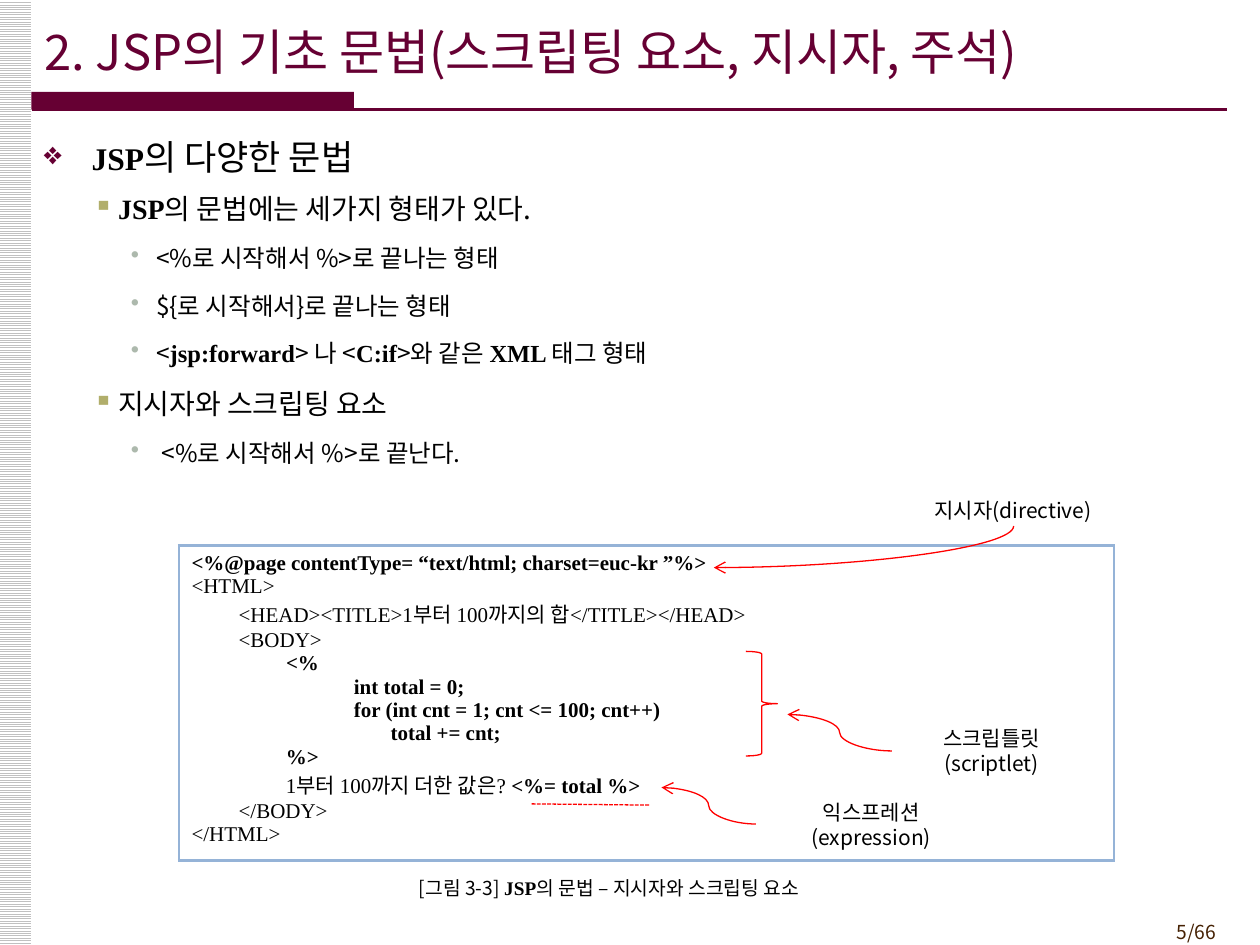
import pptx
import pptx.util
import pptx.oxml
import pptx.oxml.ns
from pptx.dml.color import RGBColor
from pptx.enum.dml import MSO_LINE, MSO_PATTERN
from pptx.enum.shapes import MSO_CONNECTOR, MSO_SHAPE
from pptx.enum.text import MSO_ANCHOR, PP_ALIGN

Inches, Pt = pptx.util.Inches, pptx.util.Pt

WINE = RGBColor(0x66, 0x00, 0x33)
BROWN = RGBColor(0x45, 0x21, 0x03)
BLACK = RGBColor(0x00, 0x00, 0x00)
WHITE = RGBColor(0xFF, 0xFF, 0xFF)
SILVER = RGBColor(0xC0, 0xC0, 0xC0)
OLIVE = RGBColor(0xB1, 0xAE, 0x6B)
SAGE = RGBColor(0xAD, 0xB9, 0xAD)
BLUE = RGBColor(0x95, 0xB3, 0xD7)
RED = RGBColor(0xFF, 0x00, 0x00)
SANS, SERIF = "Noto Sans CJK KR", "Times New Roman"

# Content: a run is (text, bold)
TITLE = "2. JSP의 기초 문법(스크립팅 요소, 지시자, 주석)"
PAGE_NUMBER = "5/66"
OUTLINE = [
    (0, [("JSP", True), ("의 다양한 문법", False)]),
    (1, [("JSP", True), ("의 문법에는 세가지 형태가 있다.", False)]),
    (2, [("<%로 시작해서 %>로 끝나는 형태", False)]),
    (2, [("${로 시작해서}로 끝나는 형태", False)]),
    (2, [("<", False), ("jsp:forward", True), ("> 나 <", False), ("C:if", True),
         (">와 같은 ", False), ("XML ", True), ("태그 형태", False)]),
    (1, [("지시자와 스크립팅 요소", False)]),
    (2, [(" <%로 시작해서 %>로 끝난다.", False)]),
]
# Per level: size, bold size, left margin, hanging indent, bullet, colour, line spacing, before, after
LEVELS = [
    (20, 18, 0.38, 0.38, "❖", WINE, 1.0, 0, 0),
    (16, 16, 0.59, 0.2, "▪", OLIVE, 1.2, 4, 3),
    (14, 14, 0.89, 0.2, "•", SAGE, 1.2, 4, 3),
]
CODE = [
    [("<%@page contentType= “text/html; charset=euc-kr ”%>", True)],
    [("<HTML>", False)],
    [("         <HEAD><TITLE>1부터 100까지의 합</TITLE></HEAD>", False)],
    [("         <BODY>", False)],
    [("                  ", False), ("<%", True)],
    [("                               int total = 0;", True)],
    [("                               for (int cnt = 1; cnt <= 100; cnt++)", True)],
    [("                                      total += cnt;", True)],
    [("                  %>", True)],
    [("                  1부터 100까지 더한 값은? ", False), ("<%= total %>", True)],
    [("         </BODY>", False)],
    [("</HTML>", False)],
]
# Labels: left, top, width, size, runs
LABELS = [
    (7.25, 3.92, 1.58, 12, [("지시자(directive)", False)]),
    (7.08, 5.83, 1.58, 12, [("스크립틀릿(scriptlet)", False)]),
    (6, 6.42, 1.83, 12, [("익스프레션(expression)", False)]),
    (2.42, 6.92, 4.83, 11, [("[그림 3-3] ", False), ("JSP", True),
                            ("의 문법 – 지시자와 스크립팅 요소", False)]),
]
# Curves: start x, start y, end x, end y
CURVES = [(7.08, 5.96, 6.25, 5.67), (6, 6.54, 5.25, 6.25)]


def element(tag, parent=None, **attributes):
    node = pptx.oxml.parse_xml(f"<a:{tag} {pptx.oxml.ns.nsdecls('a')}/>")
    for key, value in attributes.items():
        node.set(key, str(value))
    if parent is not None:
        parent.append(node)
    return node


def write(para, runs, size, bold_size=None, color=BLACK, face=SANS):
    for text, bold in runs:
        span = para.add_run()
        span.text = text
        span.font.color.rgb = color
        style = {"size": Pt(bold_size if bold and bold_size else size),
                 "bold": bold, "name": SERIF if bold else face}
        for key, value in style.items():
            setattr(span.font, key, value)
        latin = span.font._element.find(pptx.oxml.ns.qn("a:latin"))
        latin.addnext(element("ea", typeface=SANS))


def add_bullet(para, margin, hang, sign, color):
    props = para._p.get_or_add_pPr()
    props.set("marL", str(Inches(margin)))
    props.set("indent", str(-Inches(hang)))
    element("srgbClr", element("buClr", props), val=color)
    element("buChar", props, char=sign)


def add_box(shapes, kind, *place):
    box = shapes.add_shape(kind, *map(Inches, place))
    box.shadow.inherit = False
    box.line.fill.background()
    return box


def add_line(shapes, kind, ends, color=RED, width=0.75, arrow=False):
    line = shapes.add_connector(kind, *map(Inches, ends))
    line.line.color.rgb = color
    line.line.width = Pt(width)
    if arrow:
        element("tailEnd", line.line._get_or_add_ln(), type="arrow")
    element("effectLst", line._element.spPr)
    return line


deck = pptx.Presentation()
deck.slide_width, deck.slide_height = Inches(10), Inches(7.5)
page = deck.slides.add_slide(deck.slide_layouts[5])
shapes = page.shapes

# Striped left edge
edge = add_box(shapes, MSO_SHAPE.RECTANGLE, -0.01, 0, 0.26, 7.5)
edge.fill.patterned()
edge.fill.pattern = MSO_PATTERN.LIGHT_HORIZONTAL
edge.fill.fore_color.rgb, edge.fill.back_color.rgb = SILVER, WHITE

# Page number
number = shapes.add_textbox(*map(Inches, (8.92, 7.25, 0.83, 0.29))).text_frame
number.word_wrap, number.vertical_anchor = True, MSO_ANCHOR.MIDDLE
number.paragraphs[0].alignment = PP_ALIGN.RIGHT
write(number.paragraphs[0], [(PAGE_NUMBER, False)], 11, color=BROWN)

# Title with its rule
rule = shapes.add_group_shape().shapes
bar = add_box(rule, MSO_SHAPE.RECTANGLE, 0.25, 0.73, 2.56, 0.14)
bar.fill.solid()
bar.fill.fore_color.rgb = WINE
add_line(rule, MSO_CONNECTOR.STRAIGHT, (0.25, 0.87, 9.74, 0.87), WINE, 1.5)
title = shapes.title
for key, value in zip(("left", "top", "width", "height"), (0.25, 0.09, 9.25, 0.63)):
    setattr(title, key, Inches(value))
title.text_frame.vertical_anchor = MSO_ANCHOR.MIDDLE
title.text_frame.paragraphs[0].alignment = PP_ALIGN.LEFT
write(title.text_frame.paragraphs[0], [(TITLE, False)], 28, color=WINE)

# Outline
outline = shapes.add_textbox(*map(Inches, (0.25, 1.03, 9.5, 6.25))).text_frame
outline.word_wrap = True
for index, (level, runs) in enumerate(OUTLINE):
    size, bold_size, margin, hang, sign, color, spacing, before, after = LEVELS[level]
    para = outline.add_paragraph() if index else outline.paragraphs[0]
    add_bullet(para, margin, hang, sign, color)
    layout = {"level": level, "line_spacing": spacing,
              "space_before": Pt(before), "space_after": Pt(after)}
    for key, value in layout.items():
        setattr(para, key, value)
    write(para, runs, size, bold_size)

# Code listing in a one-cell table
table = shapes.add_table(1, 1, *map(Inches, (1.42, 4.33, 7.42, 2.5))).table
table.first_row = table.horz_banding = False
cell = table.cell(0, 0)
for side in ("lnL", "lnR", "lnT", "lnB"):
    border = element(side, cell._tc.get_or_add_tcPr(), w=Pt(1.5))
    element("srgbClr", element("solidFill", border), val=BLUE)
cell.fill.background()
for index, runs in enumerate(CODE):
    para = cell.text_frame.add_paragraph() if index else cell.text_frame.paragraphs[0]
    write(para, runs, 12, face=SERIF)

# Marks on the code
underline = add_line(shapes, MSO_CONNECTOR.STRAIGHT, (4.22, 6.38, 5.16, 6.39))
underline.line.dash_style = MSO_LINE.SQUARE_DOT
brace = add_box(shapes, MSO_SHAPE.RIGHT_BRACE, 5.92, 5.17, 0.25, 0.83)
brace.fill.background()
brace.line.color.rgb = RED
brace.line.width = Pt(0.75)

# Labels and caption
for left, top, width, size, runs in LABELS:
    label = add_box(shapes, MSO_SHAPE.RECTANGLE, left, top, width, 0.25)
    label.fill.solid()
    label.fill.fore_color.rgb = WHITE
    label.text_frame.word_wrap = True
    label.text_frame.vertical_anchor = MSO_ANCHOR.MIDDLE
    label.text_frame.paragraphs[0].alignment = PP_ALIGN.CENTER
    write(label.text_frame.paragraphs[0], runs, size)

# Arrows from labels to code; the first is a quarter curve turned by 90 degrees
for ends in CURVES:
    add_line(shapes, MSO_CONNECTOR.CURVE, ends, arrow=True)
quarter = add_line(shapes, MSO_CONNECTOR.CURVE, (6.69, 3.15, 7.02, 5.53), arrow=True)
quarter._element.spPr.prstGeom.set("prst", "curvedConnector2")
quarter._element.spPr.xfrm.set("rot", str(90 * 60000))

deck.save("out.pptx")
